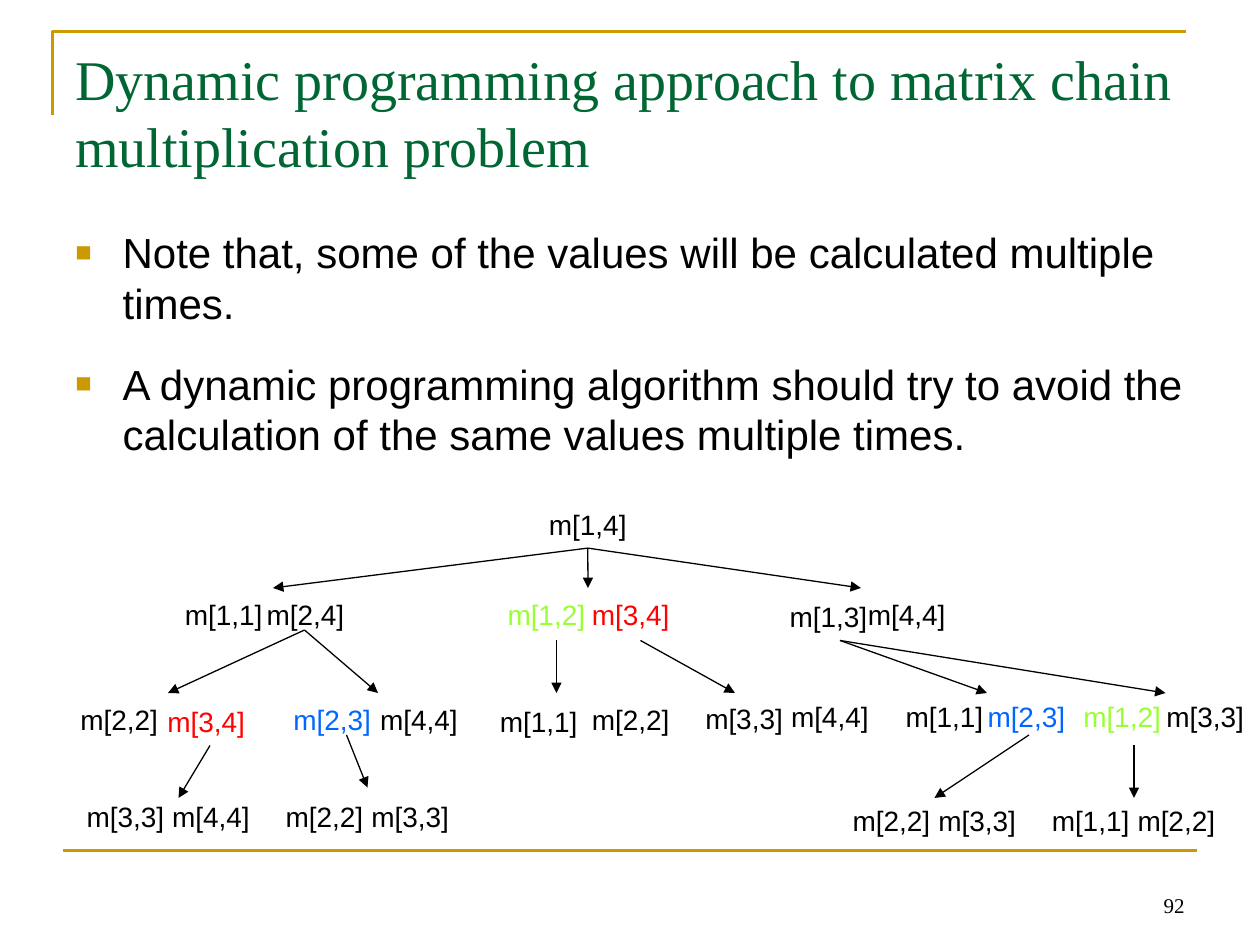
import pptx
import pptx.dml.color
import pptx.enum.shapes
import pptx.enum.text
import pptx.oxml
import pptx.oxml.ns
import pptx.util

Pt = pptx.util.Pt
RGBColor = pptx.dml.color.RGBColor
ALIGN = pptx.enum.text.PP_ALIGN
ANCHOR = pptx.enum.text.MSO_ANCHOR

GOLD = RGBColor(0xCC, 0x99, 0x00)
DARK_GREEN = RGBColor(0x00, 0x66, 0x33)
BLACK = RGBColor(0, 0, 0)
LIME = RGBColor(0x99, 0xFF, 0x33)
RED = RGBColor(0xFF, 0x01, 0x01)
BLUE = RGBColor(0x00, 0x66, 0xFF)

SERIF = "Times New Roman"
SANS = "Arial"
NODE_W, NODE_H = 58.4, 26.6

REPEATED = {"1,2": LIME, "3,4": RED, "2,3": BLUE}

ROOT = ("1,4", 306.7, 286.6)
NODES = [
    ("1,1", 98.6, 337.7), ("2,4", 145.4, 337.7),
    ("1,2", 283, 337.7), ("3,4", 331.2, 337.7),
    ("1,3", 444.2, 339.1), ("4,4", 488.9, 337.7),
    ("2,2", 38.9, 398.2), ("3,4", 88.6, 398.9),
    ("2,3", 160.6, 398.2), ("4,4", 210.2, 398.2),
    ("1,1", 278.6, 398.9), ("2,2", 331.2, 398.2),
    ("3,3", 396, 397.4), ("4,4", 445, 396),
    ("1,1", 510.5, 396), ("2,3", 557.3, 396),
    ("1,2", 612, 396), ("3,3", 659.5, 396),
    ("3,3", 42.5, 453.6), ("4,4", 91.4, 453.6),
    ("2,2", 156.2, 453.6), ("3,3", 205.2, 453.6),
    ("2,2", 480.2, 455.8), ("3,3", 529.2, 455.8),
    ("1,1", 594, 455.8), ("2,2", 643, 455.8),
]

ROOT_START = (336, 312)
ROOT_ENDS = [(156, 336), (336, 336), (492, 336)]
BRANCHES = [
    ((174, 360), [(96, 396), (216, 396)]),
    ((318, 366), [(318, 396)]),
    ((366, 366), [(420, 396)]),
    ((480, 366), [(564, 396), (666, 396)]),
    ((120, 426), [(102, 456)]),
    ((198, 420), [(210, 450)]),
    ((588, 420), [(534, 456)]),
    ((648, 426), [(648, 456)]),
]

BULLETS = [
    "Note that, some of the values will be calculated multiple times.",
    "A dynamic programming algorithm should try to avoid the "
    "calculation of the same values multiple times.",
]


def add_box(s, left, top, width, height, anchor=ANCHOR.TOP, wrap=True):
    sp = s.shapes.add_textbox(Pt(left), Pt(top), Pt(width), Pt(height))
    tf = sp.text_frame
    tf.word_wrap = wrap
    tf.vertical_anchor = anchor
    return sp


def add_run(p, text, size, font, color):
    r = p.add_run()
    r.text = text
    r.font.size = Pt(size)
    r.font.name = font
    r.font.color.rgb = color


def add_bullet(p):
    pPr = p._p.get_or_add_pPr()
    pPr.set("marL", str(Pt(27)))
    pPr.set("indent", str(-Pt(27)))
    ns = pptx.oxml.ns.nsdecls("a")
    for xml in (
        f'<a:buClr {ns}><a:srgbClr val="{GOLD}"/></a:buClr>',
        f'<a:buSzPct {ns} val="65000"/>',
        f'<a:buFont {ns} typeface="{SANS}"/>',
        f'<a:buChar {ns} char="■"/>',
    ):
        pPr.append(pptx.oxml.parse_xml(xml))


def add_body(s):
    tf = add_box(s, 36, 126, 648, 356.4).text_frame
    for i, text in enumerate(BULLETS):
        p = tf.add_paragraph() if i else tf.paragraphs[0]
        add_bullet(p)
        if i:
            p.space_before = Pt(17.5)
        add_run(p, text, 24, SANS, BLACK)


def add_line(s, start, end, color, width, arrow=False):
    kind = pptx.enum.shapes.MSO_CONNECTOR.STRAIGHT
    c = s.shapes.add_connector(kind, *map(Pt, start + end))
    c.line.color.rgb = color
    c.line.width = Pt(width)
    ns = pptx.oxml.ns.nsdecls("a")
    if arrow:
        c.line._get_or_add_ln().append(
            pptx.oxml.parse_xml(f'<a:tailEnd {ns} type="triangle"/>'))
    c._element.spPr.append(pptx.oxml.parse_xml(f"<a:effectLst {ns}/>"))
    return c


def add_frame(s):
    fb = s.shapes.build_freeform(Pt(30), Pt(66))
    fb.add_line_segments([(Pt(30), Pt(18)), (Pt(678), Pt(18))], close=False)
    sp = fb.convert_to_shape()
    sp.shadow.inherit = False
    sp.fill.background()
    sp.line.color.rgb = GOLD
    sp.line.width = Pt(1.5)
    add_line(s, (36, 486), (684, 486), GOLD, 1.5)


def add_node(s, index, left, top):
    sp = add_box(s, left, top, NODE_W, NODE_H, wrap=False)
    tf = sp.text_frame
    tf.margin_left = tf.margin_right = Pt(6)
    tf.auto_size = pptx.enum.text.MSO_AUTO_SIZE.NONE
    p = tf.paragraphs[0]
    p.alignment = ALIGN.CENTER
    add_run(p, f"m[{index}]", 16, SANS, REPEATED.get(index, BLACK))
    return sp


def add_tree(s):
    root = add_node(s, *ROOT)
    for node in NODES:
        add_node(s, *node)
    for end in ROOT_ENDS:
        c = add_line(s, ROOT_START, end, BLACK, 0.75, arrow=True)
        c.begin_connect(root, 2)
    for start, ends in BRANCHES:
        for end in ends:
            add_line(s, start, end, BLACK, 0.75, arrow=True)


def main():
    prs = pptx.Presentation()
    prs.slide_width, prs.slide_height = Pt(720), Pt(540)
    s = prs.slides.add_slide(prs.slide_layouts[6])
    add_frame(s)

    number = add_box(s, 516, 492, 168, 36, ANCHOR.BOTTOM)
    p = number.text_frame.paragraphs[0]
    p.alignment = ALIGN.RIGHT
    add_run(p, "92", 12, SERIF, BLACK)

    title = add_box(s, 36, 21.6, 648, 90)
    add_run(title.text_frame.paragraphs[0],
            "Dynamic programming approach to matrix chain "
            "multiplication problem", 32, SERIF, DARK_GREEN)

    add_body(s)
    add_tree(s)
    prs.save("out.pptx")


if __name__ == "__main__":
    main()
